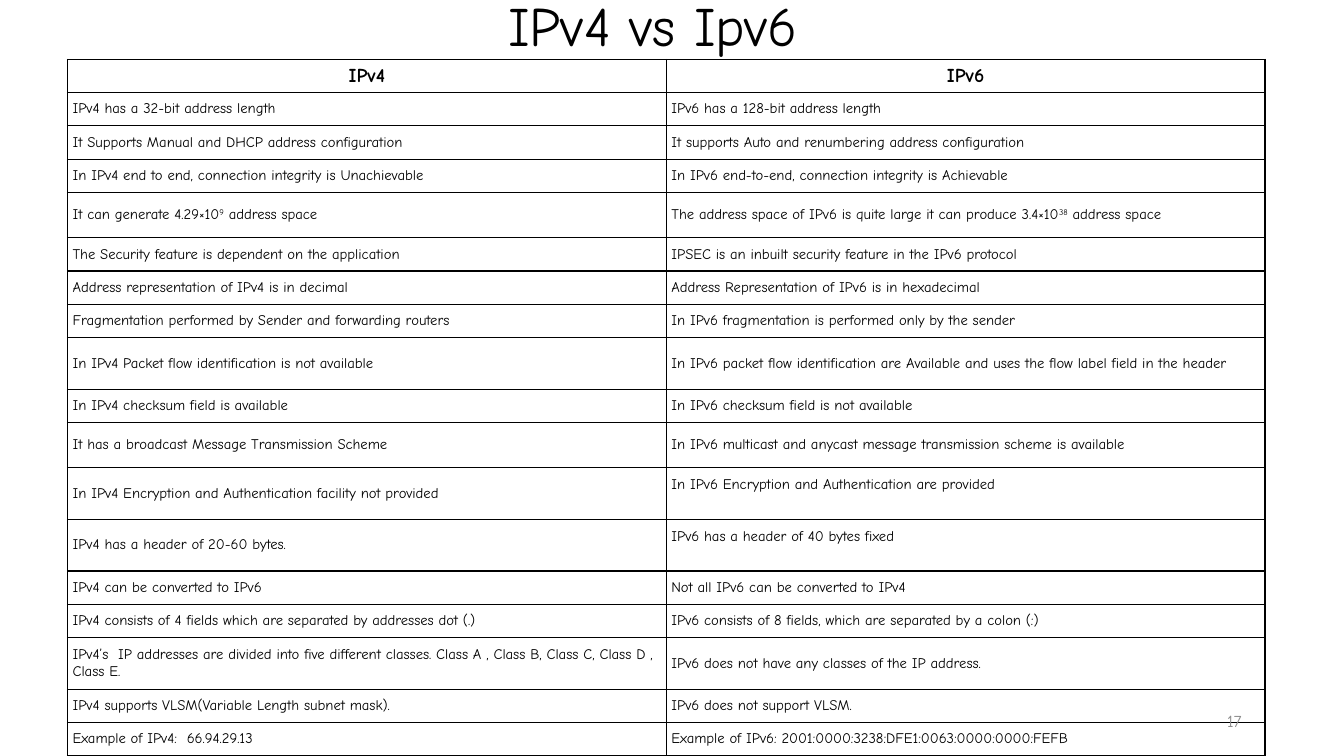
from lxml import etree
from pptx import Presentation
from pptx.enum import text
from pptx.oxml import ns
from pptx.util import Cm, Pt
from pptx.dml.color import RGBColor

# Content: ^ marks the start and end of a superscript
TITLE = "IPv4 vs Ipv6"
PAGE = "17"
HEADINGS = ("IPv4", "IPv6")
COMPARISON = [
    ("IPv4 has a 32-bit address length", "IPv6 has a 128-bit address length"),
    ("It Supports Manual and DHCP address configuration",
     "It supports Auto and renumbering address configuration"),
    ("In IPv4 end to end, connection integrity is Unachievable",
     "In IPv6 end-to-end, connection integrity is Achievable"),
    ("It can generate 4.29×10^9^ address space",
     "The address space of IPv6 is quite large it can produce 3.4×10^38^ address space"),
    ("The Security feature is dependent on the application",
     "IPSEC is an inbuilt security feature in the IPv6 protocol"),
    ("Address representation of IPv4 is in decimal",
     "Address Representation of IPv6 is in hexadecimal"),
    ("Fragmentation performed by Sender and forwarding routers",
     "In IPv6 fragmentation is performed only by the sender"),
    ("In IPv4 Packet flow identification is not available",
     "In IPv6 packet flow identification are Available and uses the flow label field in the header"),
    ("In IPv4 checksum field is available", "In IPv6 checksum field is not available"),
    ("It has a broadcast Message Transmission Scheme",
     "In IPv6 multicast and anycast message transmission scheme is available"),
    ("In IPv4 Encryption and Authentication facility not provided",
     "In IPv6 Encryption and Authentication are provided"),
    ("IPv4 has a header of 20-60 bytes.", "IPv6 has a header of 40 bytes fixed"),
    ("IPv4 can be converted to IPv6", "Not all IPv6 can be converted to IPv4"),
    ("IPv4 consists of 4 fields which are separated by addresses dot (.)",
     "IPv6 consists of 8 fields, which are separated by a colon (:)"),
    ("IPv4’s  IP addresses are divided into five different classes. "
     "Class A , Class B, Class C, Class D , Class E.",
     "IPv6 does not have any classes of the IP address."),
    ("IPv4 supports VLSM(Variable Length subnet mask).", "IPv6 does not support VLSM."),
    ("Example of IPv4:  66.94.29.13",
     "Example of IPv6: 2001:0000:3238:DFE1:0063:0000:0000:FEFB"),
]

# Format
COLORS = {"ink": "000000", "page": "8C8C8C"}
FONT = "Comic Neue"
HEADING_HEIGHT, ROW_HEIGHT = 0.74, 0.84
TALL_ROWS = {4: 1.14, 8: 1.3, 10: 1.14, 11: 1.3, 12: 1.3, 15: 1.3}
TOP_CELLS = {(11, 1), (12, 1)}
COLUMN_WIDTH = 15.09
MIDDLE, TOP = text.MSO_ANCHOR.MIDDLE, text.MSO_ANCHOR.TOP
ALIGN = text.PP_ALIGN
HEADING_MARGINS = {"margin_left": 0.13, "margin_right": 0.13,
                   "margin_top": 0.13, "margin_bottom": 0.13}
BODY_MARGINS = {**HEADING_MARGINS, "margin_top": 0.18, "margin_bottom": 0.18}
TOP_MARGINS = {**BODY_MARGINS, "margin_top": 0.22}


def set_all(target, values):
    for name, value in values.items():
        setattr(target, name, value)


def write(paragraph, words, size, align=ALIGN.LEFT, color="ink", bold=False):
    paragraph.alignment = align
    for part, piece in enumerate(words.split("^")):
        run = paragraph.add_run()
        run.text = piece
        set_all(run.font, {"name": FONT, "size": Pt(size), "bold": bold})
        run.font.color.rgb = RGBColor.from_string(COLORS[color])
        if part % 2:
            run._r.get_or_add_rPr().set("baseline", "30000")


def add_borders(cell):
    properties = cell._tc.get_or_add_tcPr()
    for place, side in enumerate(("lnL", "lnR", "lnT", "lnB")):
        line = etree.Element(ns.qn(f"a:{side}"), w=str(Pt(1)))
        fill = etree.SubElement(line, ns.qn("a:solidFill"))
        etree.SubElement(fill, ns.qn("a:srgbClr"), val=COLORS["ink"])
        properties.insert(place, line)


def main():
    deck = Presentation()
    set_all(deck, {"slide_width": Cm(33.87), "slide_height": Cm(19.05)})
    slide = deck.slides.add_slide(deck.slide_layouts[5])

    # Title
    title = slide.shapes.title
    set_all(title, {"left": Cm(12.55), "top": Cm(-0.23),
                    "width": Cm(10.24), "height": Cm(1.91)})
    set_all(title.text_frame, {"vertical_anchor": MIDDLE, "word_wrap": True,
                               "auto_size": text.MSO_AUTO_SIZE.NONE})
    heading = title.text_frame.paragraphs[0]
    heading.line_spacing = 0.9
    write(heading, TITLE, 39.6)

    # Comparison table
    rows = [HEADINGS] + COMPARISON
    heights = [HEADING_HEIGHT] + [TALL_ROWS.get(r, ROW_HEIGHT) for r in range(1, len(rows))]
    table = slide.shapes.add_table(len(rows), 2, Cm(1.7), Cm(1.5),
                                   Cm(2 * COLUMN_WIDTH), Cm(sum(heights))).table
    set_all(table, {"first_row": False, "horz_banding": False})
    for column in table.columns:
        column.width = Cm(COLUMN_WIDTH)
    for r, (height, entries) in enumerate(zip(heights, rows)):
        table.rows[r].height = Cm(height)
        for c, words in enumerate(entries):
            cell = table.cell(r, c)
            at_top = (r, c) in TOP_CELLS
            margins = HEADING_MARGINS if r == 0 else TOP_MARGINS if at_top else BODY_MARGINS
            set_all(cell, {name: Cm(value) for name, value in margins.items()})
            cell.vertical_anchor = TOP if at_top else MIDDLE
            cell.fill.background()
            add_borders(cell)
            paragraph = cell.text_frame.paragraphs[0]
            if r == 0:
                write(paragraph, words, 14, ALIGN.CENTER, bold=True)
            else:
                write(paragraph, words, 10.5)

    # Page number
    page = slide.shapes.add_textbox(Cm(23.92), Cm(17.66), Cm(7.62), Cm(1.01)).text_frame
    set_all(page, {"word_wrap": True, "vertical_anchor": MIDDLE})
    write(page.paragraphs[0], PAGE, 12, ALIGN.RIGHT, "page")

    deck.save("out.pptx")


if __name__ == "__main__":
    main()
